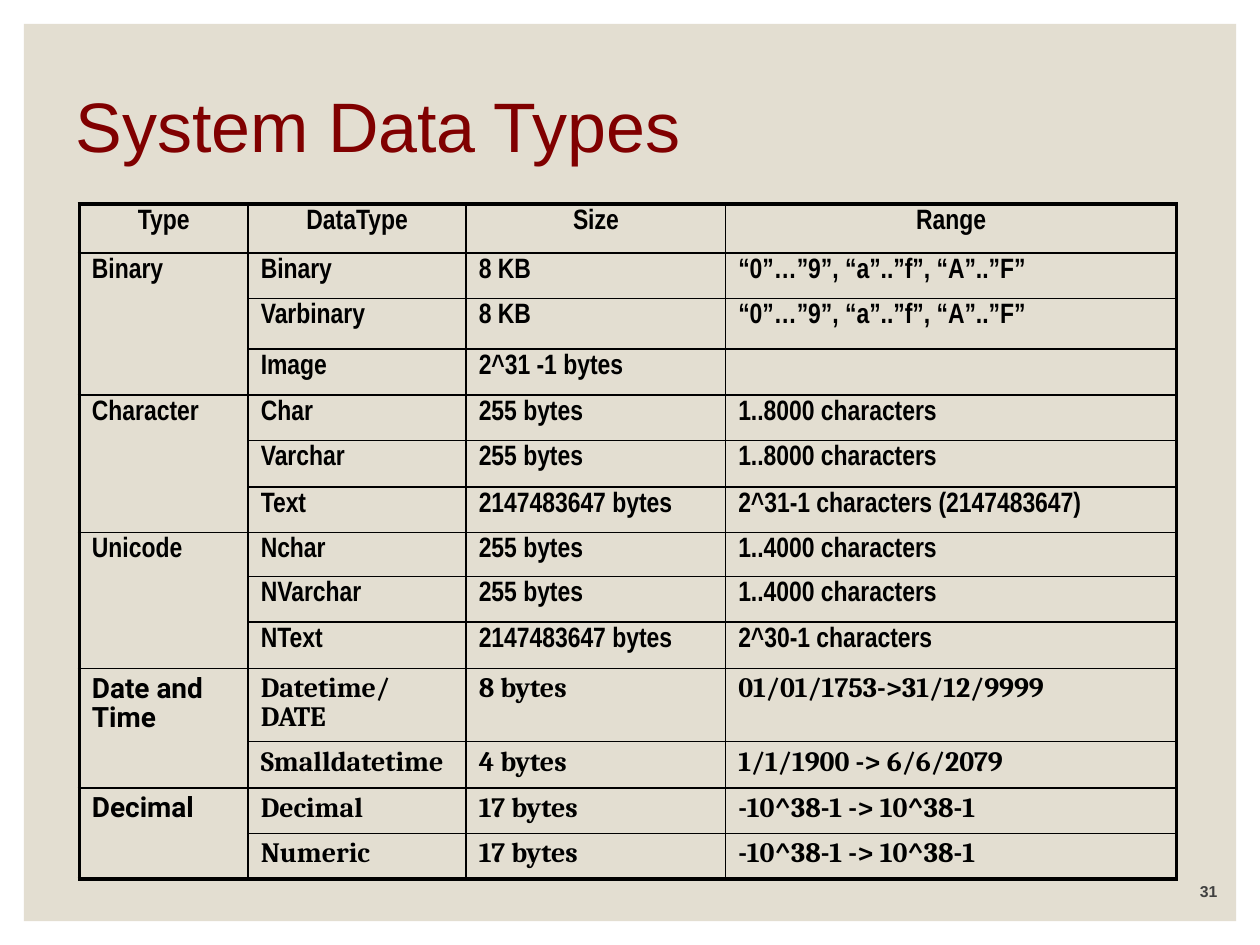
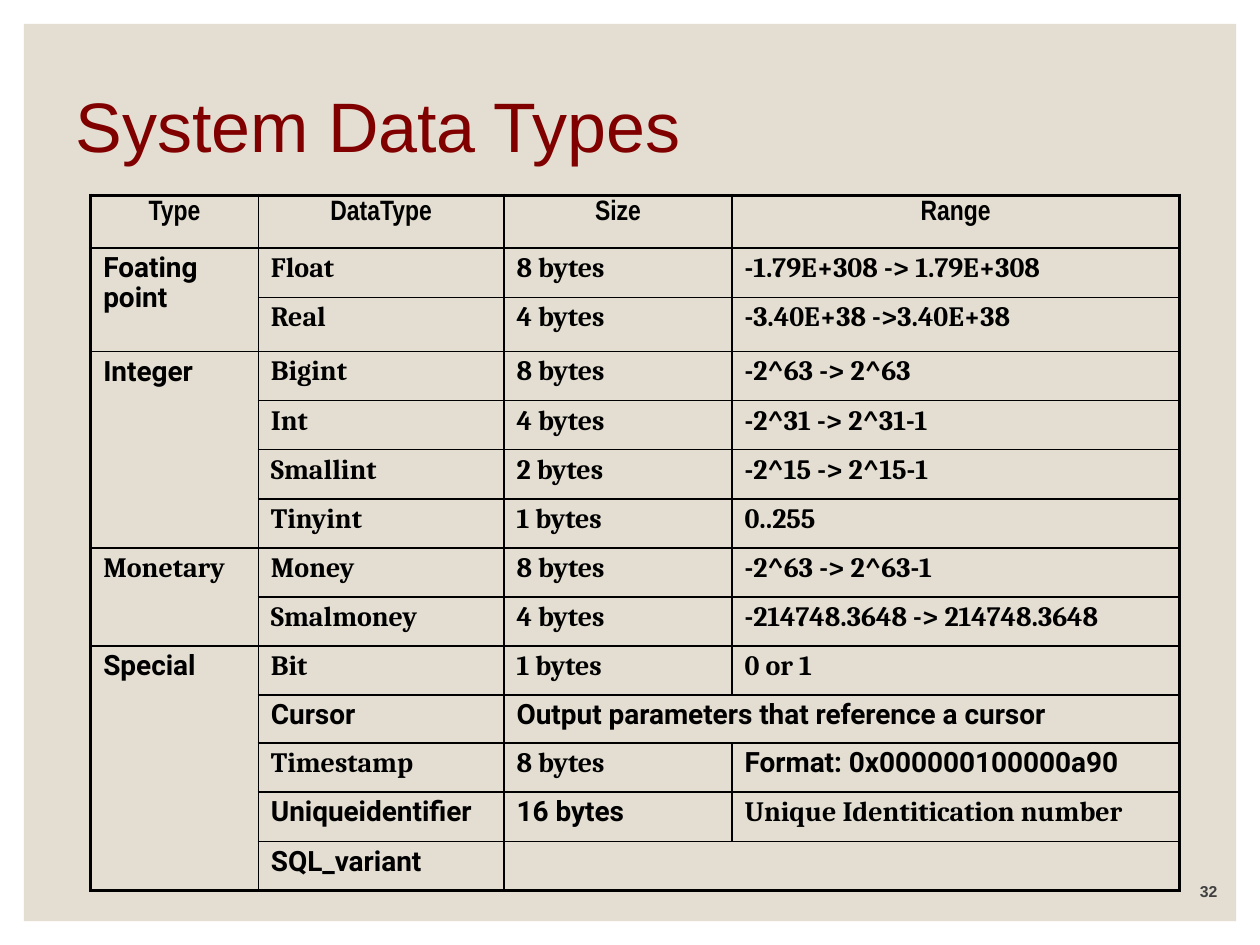
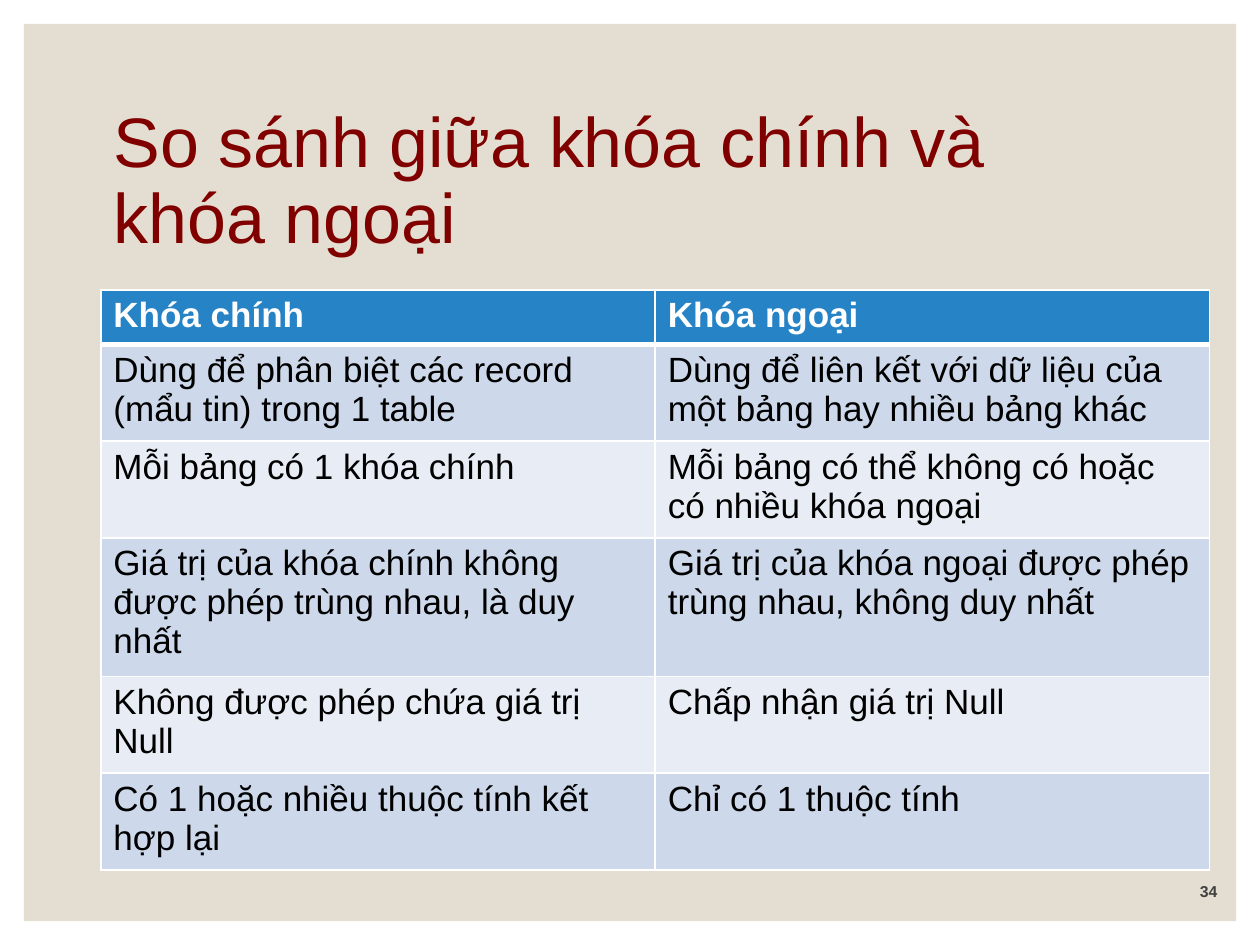
import pptx
import pptx.dml.color
import pptx.enum.shapes
import pptx.enum.text
import pptx.oxml
import pptx.oxml.ns
import pptx.util
from lxml import etree

COLOURS = {
    "panel": "E3DED1", "title": "800000", "number": "404040", "ink": "000000",
    "paper": "FFFFFF", "header": "2683C6", "band": "CDD9EA", "pale": "E8EDF5",
}
FONTS = {"A": "Arial", "N": "Arial Narrow", "R": "Roboto", "C": "Cambria"}
ALIGN = pptx.enum.text.PP_ALIGN
ANCHOR = pptx.enum.text.MSO_ANCHOR
GRID_COLUMNS, GRID_ROWS = 100, 75
UNIT = pptx.util.Inches(0.1)

PANEL_BOX = (1.9, 1.9, 96.2, 71.2)
NUMBER_BOX = (85.6, 69, 12, 3)
TYPES_TITLE_BOX = (5, 2.8, 90, 15)
HEADINGS = ("NNNN", ["Type", "DataType", "Size", "Range"])
HEX_DIGITS = "“0”…”9”, “a”..”f”, “A”..”F”"

TEXT_TYPES = [
    HEADINGS,
    ("NNNN", ["Binary", "Binary", "8 KB", HEX_DIGITS]),
    ("NNNN", [None, "Varbinary", "8 KB", HEX_DIGITS]),
    ("NNNN", [None, "Image", "2^31 -1 bytes", ""]),
    ("NNNN", ["Character", "Char", "255 bytes", "1..8000 characters"]),
    ("NNNN", [None, "Varchar", "255 bytes", "1..8000 characters"]),
    ("NNNN", [None, "Text", "2147483647 bytes", "2^31-1 characters (2147483647)"]),
    ("NNNN", ["Unicode", "Nchar", "255 bytes", "1..4000 characters"]),
    ("NNNN", [None, "NVarchar", "255 bytes", "1..4000 characters"]),
    ("NNNN", [None, "NText", "2147483647 bytes", "2^30-1 characters"]),
    ("RCCC", ["Date and Time", "Datetime/DATE", "8 bytes", "01/01/1753->31/12/9999"]),
    ("RCCC", [None, "Smalldatetime", "4 bytes", "1/1/1900 -> 6/6/2079"]),
    ("RCCC", ["Decimal", "Decimal", "17 bytes", "-10^38-1 -> 10^38-1"]),
    ("RCCC", [None, "Numeric", "17 bytes", "-10^38-1 -> 10^38-1"]),
]
TEXT_TYPE_HEIGHTS = [3.9, 3.6, 4, 3.6, 3.6, 3.7, 3.6, 3.5, 3.6, 3.7, 5.6, 3.7, 3.6, 3.6]

NUMBER_TYPES = [
    HEADINGS,
    ("RCCC", ["Foating point", "Float", "8 bytes", "-1.79E+308 -> 1.79E+308"]),
    ("RCCC", [None, "Real", "4 bytes", "-3.40E+38 ->3.40E+38"]),
    ("RCCC", ["Integer", "Bigint", "8 bytes", "-2^63 -> 2^63"]),
    ("RCCC", [None, "Int", "4 bytes", "-2^31 -> 2^31-1"]),
    ("RCCC", [None, "Smallint", "2 bytes", "-2^15 -> 2^15-1"]),
    ("RCCC", [None, "Tinyint", "1 bytes", "0..255"]),
    ("CCCC", ["Monetary", "Money", "8 bytes", "-2^63 -> 2^63-1"]),
    ("CCCC", [None, "Smalmoney", "4 bytes", "-214748.3648 -> 214748.3648"]),
    ("RCCC", ["Special", "Bit", "1 bytes", "0 or 1"]),
    ("RRRR", [None, "Cursor", "Output parameters that reference a cursor"]),
    ("RCCR", [None, "Timestamp", "8 bytes", "Format: 0x000000100000a90"]),
    ("RRRC", [None, "Uniqueidentifier", "16 bytes", "Unique Identitication number"]),
    ("RRRR", [None, "SQL_variant", ""]),
]
NUMBER_TYPE_HEIGHTS = [4.2, 3.9, 4.3] + [3.9] * 7 + [3.8] + [3.9] * 3

KEY_COMPARISON = [
    ("Khóa chính", "Khóa ngoại"),
    ("Dùng để phân biệt các record (mẩu tin) trong 1 table",
     "Dùng để liên kết với dữ liệu của một bảng hay nhiều bảng khác"),
    ("Mỗi bảng có 1 khóa chính", "Mỗi bảng có thể không có hoặc có nhiều khóa ngoại"),
    ("Giá trị của khóa chính không được phép trùng nhau, là duy nhất",
     "Giá trị của khóa ngoại được phép trùng nhau, không duy nhất"),
    ("Không được phép chứa giá trị Null", "Chấp nhận giá trị Null"),
    ("Có 1 hoặc nhiều thuộc tính kết hợp lại", "Chỉ có 1 thuộc tính"),
]
KEY_HEIGHTS = [4.1, 7.2, 7.2, 10.3, 7.2, 7.2]


def units(*lengths):
    """Turn grid lengths into slide lengths."""
    return [round(length * UNIT) for length in lengths]


def rgb(name):
    """Look up a named colour."""
    return pptx.dml.color.RGBColor.from_string(COLOURS[name])


def write(frame, text, size=16, font="A", colour="ink", bold=False,
          align=ALIGN.LEFT, spacing=None, anchor=ANCHOR.TOP):
    """Put formatted text into a text frame."""
    frame.word_wrap = True
    frame.vertical_anchor = anchor
    paragraph = frame.paragraphs[0]
    paragraph.alignment = align
    paragraph.line_spacing = spacing
    if not text:
        ending = etree.SubElement(paragraph._p, pptx.oxml.ns.qn("a:endParaRPr"))
        ending.set("sz", str(size * 100))
        return
    run = paragraph.add_run()
    run.text = text
    run.font.size = pptx.util.Pt(size)
    run.font.name = FONTS[font]
    run.font.bold = bold
    run.font.color.rgb = rgb(colour)


def set_borders(cell, colour, left, right, top, bottom):
    """Draw the four edges of a cell with widths in points."""
    properties = cell._tc.get_or_add_tcPr()
    for side, width in zip("LRTB", (left, right, top, bottom)):
        edge = etree.SubElement(properties, pptx.oxml.ns.qn(f"a:ln{side}"))
        edge.set("w", str(pptx.util.Pt(width)))
        fill = etree.SubElement(edge, pptx.oxml.ns.qn("a:solidFill"))
        etree.SubElement(fill, pptx.oxml.ns.qn("a:srgbClr")).set("val", COLOURS[colour])


def add_base(deck, title, title_box, number):
    """Add a slide with its panel, title and page number."""
    slide = deck.slides.add_slide(deck.slide_layouts[5])
    heading = slide.shapes.title
    panel = slide.shapes.add_shape(
        pptx.enum.shapes.MSO_SHAPE.RECTANGLE, *units(*PANEL_BOX))
    panel.shadow.inherit = False
    panel.fill.solid()
    panel.fill.fore_color.rgb = rgb("panel")
    panel.line.fill.background()
    heading.element.addprevious(panel.element)

    heading.left, heading.top, heading.width, heading.height = units(*title_box)
    heading.text_frame.auto_size = pptx.enum.text.MSO_AUTO_SIZE.NONE
    write(heading.text_frame, title, size=40, colour="title", spacing=0.9,
          anchor=ANCHOR.MIDDLE)
    page = slide.shapes.add_textbox(*units(*NUMBER_BOX))
    write(page.text_frame, str(number), size=9, colour="number", bold=True,
          align=ALIGN.RIGHT, anchor=ANCHOR.BOTTOM)
    return slide


def add_grid(slide, left, top, widths, heights):
    """Add an unbanded table with the given column widths and row heights."""
    box = units(left, top, sum(widths), sum(heights))
    table = slide.shapes.add_table(len(heights), len(widths), *box).table
    table.first_row = table.horz_banding = False
    for column, width in zip(table.columns, units(*widths)):
        column.width = width
    for row, height in zip(table.rows, units(*heights)):
        row.height = height
    return table


def merge_groups(table, rows):
    """Merge each type down its group, and a short row's last cell to the right."""
    starts = [r for r, (_, texts) in enumerate(rows) if texts[0] is not None]
    for start, following in zip(starts, starts[1:] + [len(rows)]):
        if following - start > 1:
            table.cell(start, 0).merge(table.cell(following - 1, 0))
    last_column = len(table.columns) - 1
    for r, (_, texts) in enumerate(rows):
        if len(texts) <= last_column:
            table.cell(r, len(texts) - 1).merge(table.cell(r, last_column))


def add_types_slide(deck, number, left, top, widths, heights, rows):
    """Add a slide that lists data types in an outlined table."""
    slide = add_base(deck, "System Data Types", TYPES_TITLE_BOX, number)
    table = add_grid(slide, left, top, widths, heights)
    merge_groups(table, rows)
    outer, inner = 2.25, 1
    for r, (fonts, texts) in enumerate(rows):
        for c, font in enumerate(fonts):
            cell = table.cell(r, c)
            text = texts[c] if c < len(texts) else ""
            write(cell.text_frame, text, font=font, bold=True, spacing=0.9,
                  align=ALIGN.LEFT if r else ALIGN.CENTER)
            set_borders(
                cell, "ink",
                left=inner if c else outer,
                right=outer if c + cell.span_width == len(widths) else inner,
                top=inner if r else outer,
                bottom=outer if r + cell.span_height == len(rows) else inner)
            cell.fill.background()


def add_keys_slide(deck, number):
    """Add the slide that compares primary and foreign keys."""
    slide = add_base(deck, "So sánh giữa khóa chính và khóa ngoại",
                     (8, 7, 84, 15), number)
    table = add_grid(slide, 8, 23, [44, 44], KEY_HEIGHTS)
    for r, texts in enumerate(KEY_COMPARISON):
        is_header = r == 0
        background = "header" if is_header else "band" if r % 2 else "pale"
        for c, text in enumerate(texts):
            cell = table.cell(r, c)
            write(cell.text_frame, text, size=20, bold=is_header,
                  colour="paper" if is_header else "ink")
            set_borders(cell, "paper", left=1, right=1, top=3 if r == 1 else 1,
                        bottom=3 if is_header else 1)
            cell.fill.solid()
            cell.fill.fore_color.rgb = rgb(background)


def main():
    """Build the deck and save it."""
    deck = pptx.Presentation()
    deck.slide_width, deck.slide_height = units(GRID_COLUMNS, GRID_ROWS)
    add_types_slide(deck, 31, 6.3, 16.2, [13.4, 17.3, 20.6, 35.8],
                    TEXT_TYPE_HEIGHTS, TEXT_TYPES)
    add_types_slide(deck, 32, 7.2, 15.5, [13.3, 19.5, 18.1, 35.5],
                    NUMBER_TYPE_HEIGHTS, NUMBER_TYPES)
    add_keys_slide(deck, 34)
    deck.save("out.pptx")


if __name__ == "__main__":
    main()
